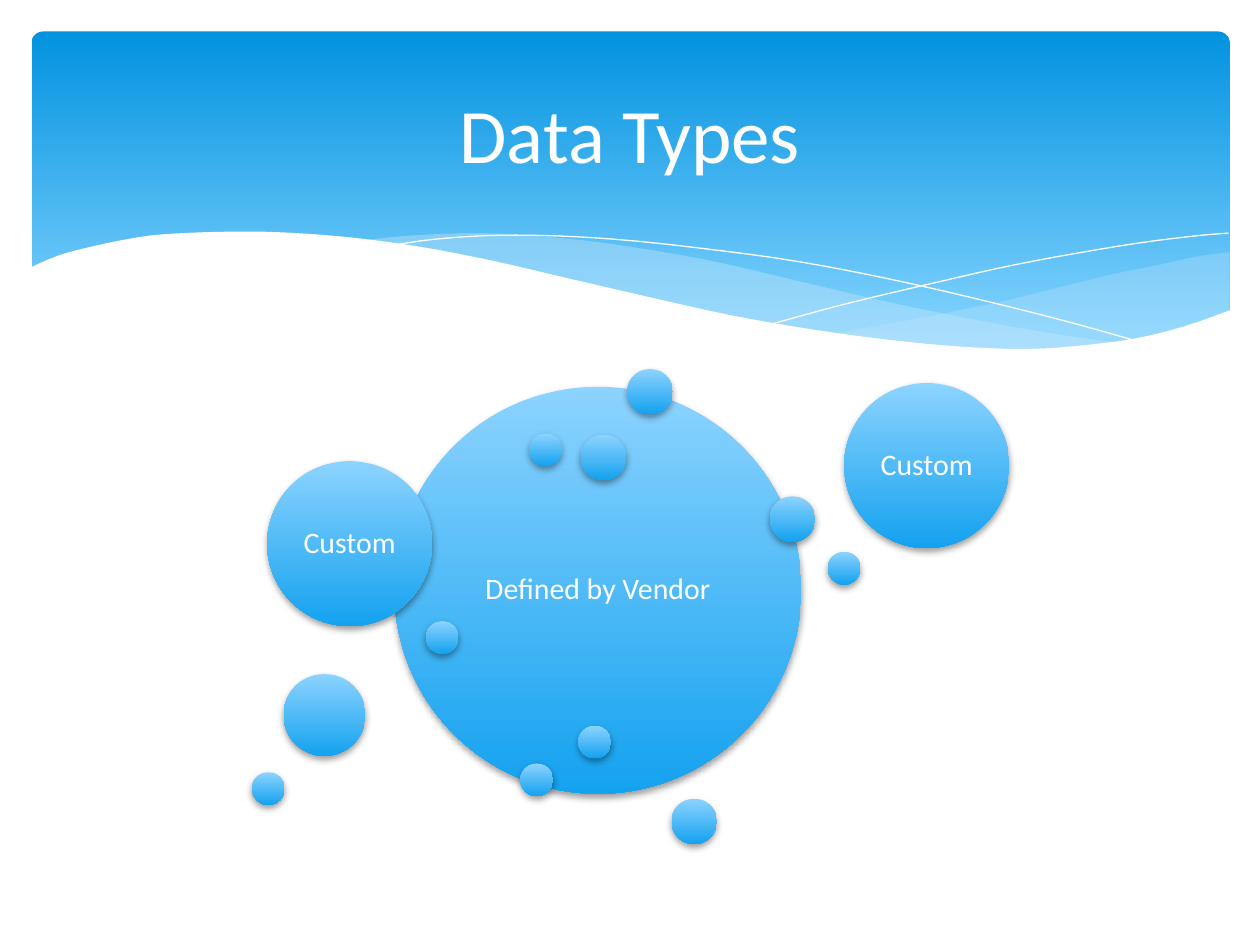
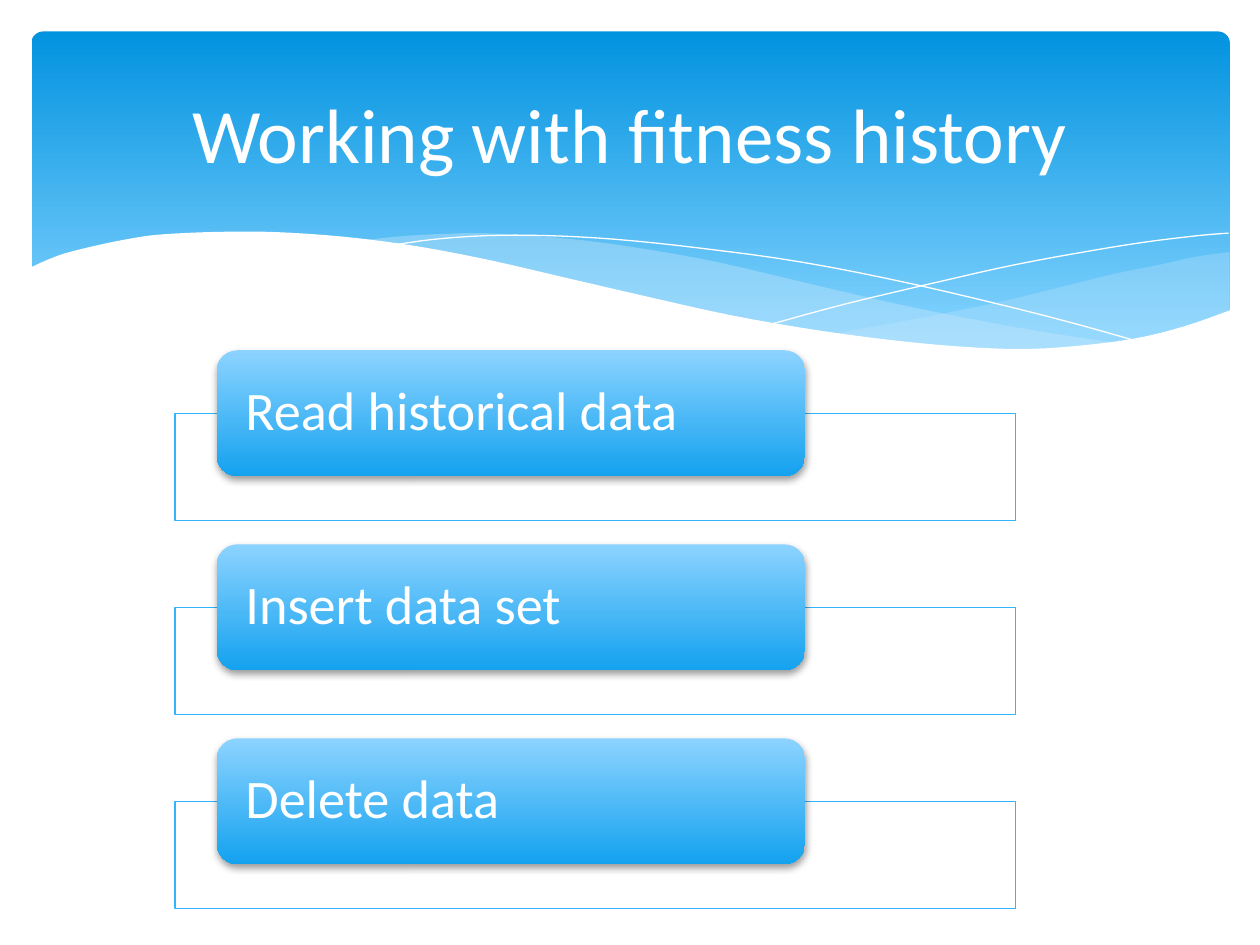
import pptx
import pptx.util
import pptx.dml.color
import pptx.enum.shapes
import pptx.enum.text
import pptx.oxml
import pptx.oxml.ns

SCALE = 9144
FONT = "Calibri"
RGB = pptx.dml.color.RGBColor
SHAPE = pptx.enum.shapes.MSO_SHAPE
ALIGN = pptx.enum.text.PP_ALIGN

WHITE = RGB(0xFF, 0xFF, 0xFF)
BAND_TOP = RGB(0x02, 0x93, 0xE0)
BAND_BOTTOM = RGB(0x83, 0xD3, 0xFE)
GLOSS_TOP = RGB(0x8C, 0xD3, 0xFF)
GLOSS_BOTTOM = RGB(0x14, 0xA2, 0xEF)
PALE_WAVE = RGB(0xC6, 0xE7, 0xFC)
FRAME_LINE = RGB(0x31, 0xB6, 0xFD)

RIGHT_WAVE_TOP = [(976, 200), (948, 204), (921, 210), (891, 216), (861, 223),
                  (805, 237), (753, 248), (706, 257), (661, 265)]
RIGHT_WAVE_BOTTOM = [(661, 265), (691, 269), (719, 272), (757, 276), (803, 278),
                     (844, 277), (881, 273), (913, 267), (942, 259), (976, 247)]
MIDDLE_WAVE_TOP = [(893, 273), (837, 265), (775, 254), (706, 240), (629, 222),
                   (569, 208), (514, 198), (465, 191), (420, 187), (380, 185),
                   (344, 186), (313, 188), (286, 191)]
MIDDLE_WAVE_BOTTOM = [(286, 191), (342, 199), (404, 211), (449, 222), (530, 240),
                      (601, 255), (665, 266), (722, 274), (773, 277), (818, 278),
                      (857, 277), (893, 273)]
FALLING_LINE = [(309, 195), (344, 190), (387, 187), (433, 187), (489, 190),
                (556, 197), (636, 208), (727, 226), (831, 251), (907, 272)]
RISING_LINE = [(613, 257), (672, 241), (748, 223), (806, 210), (866, 199),
               (910, 192), (951, 187), (975, 185)]
PAGE_EDGE = [(977, 246), (940, 259), (899, 269), (850, 275), (809, 277), (761, 275),
             (708, 270), (648, 262), (579, 250), (503, 233), (447, 220), (391, 207),
             (340, 197), (292, 190), (250, 186), (211, 184), (177, 184), (146, 185),
             (119, 187), (95, 191), (76, 195), (52, 201), (36, 207), (23, 213)]

BUBBLES = [
    (313, 307, 323, "Defined by Vendor"),
    (498, 293, 36, ""),
    (413, 606, 26, ""),
    (657, 438, 26, ""),
    (533, 634, 36, ""),
    (420, 344, 26, ""),
    (338, 493, 26, ""),
    (212, 366, 131, "Custom"),
    (461, 345, 36, ""),
    (225, 535, 65, ""),
    (670, 304, 131, "Custom"),
    (611, 394, 36, ""),
    (200, 613, 26, ""),
    (459, 576, 26, ""),
]
HISTORY_STEPS = ["Read historical data", "Insert data set", "Delete data"]
STEP_TOP = 278
STEP_PITCH = 154


def px(*lengths):
    return [pptx.util.Emu(round(length * SCALE)) for length in lengths]


def smooth(knots, steps=4):
    padded = [knots[0], *knots, knots[-1]]
    points = [knots[0]]
    for a, b, c, d in zip(padded, padded[1:], padded[2:], padded[3:]):
        for step in range(1, steps + 1):
            t = step / steps
            points.append(tuple(
                (2 * q + (r - p) * t + (2 * p - 5 * q + 4 * r - s) * t ** 2
                 + (3 * q - p - 3 * r + s) * t ** 3) / 2
                for p, q, r, s in zip(a, b, c, d)))
    return points


def fill_solid(shape, color, opacity=100):
    shape.fill.solid()
    shape.fill.fore_color.rgb = color
    if opacity < 100:
        swatch = next(shape.element.spPr.iter(pptx.oxml.ns.qn("a:srgbClr")))
        swatch.append(pptx.oxml.parse_xml(
            f'<a:alpha {pptx.oxml.ns.nsdecls("a")} val="{opacity * 1000}"/>'))


def fill_gradient(shape, top_color, bottom_color, end=1.0):
    shape.fill.gradient()
    shape.fill.gradient_angle = 270
    for stop, color, position in zip(shape.fill.gradient_stops,
                                     (top_color, bottom_color), (0, end)):
        stop.color.rgb = color
        stop.position = position


def add_shadow(shape):
    effects = shape.element.spPr.find(pptx.oxml.ns.qn("a:effectLst"))
    effects.append(pptx.oxml.parse_xml(
        f'<a:outerShdw {pptx.oxml.ns.nsdecls("a")} blurRad="{pptx.util.Pt(4)}" '
        f'dist="{pptx.util.Pt(2)}" dir="5400000" rotWithShape="0">'
        '<a:srgbClr val="000000"><a:alpha val="38000"/></a:srgbClr></a:outerShdw>'))


def add_preset(page, kind, left, top, width, height):
    shape = page.shapes.add_shape(kind, *px(left, top, width, height))
    shape.line.fill.background()
    shape.shadow.inherit = False
    return shape


def add_glossy(page, kind, left, top, width, height):
    shape = add_preset(page, kind, left, top, width, height)
    fill_gradient(shape, GLOSS_TOP, GLOSS_BOTTOM)
    add_shadow(shape)
    return shape


def add_outline(page, points, closed):
    start, *rest = [px(*point) for point in points]
    builder = page.shapes.build_freeform(*start, scale=1.0)
    builder.add_line_segments(rest, close=closed)
    shape = builder.convert_to_shape()
    shape.shadow.inherit = False
    return shape


def add_wave(page, points, color, opacity=100):
    wave = add_outline(page, points, True)
    wave.line.fill.background()
    fill_solid(wave, color, opacity)


def add_curve(page, knots):
    curve = add_outline(page, smooth(knots), False)
    curve.fill.background()
    curve.line.color.rgb = WHITE
    curve.line.width = pptx.util.Pt(0)


def write(shape, text, size, align, inset=None, spacing=None):
    frame = shape.text_frame
    frame.word_wrap = True
    frame.vertical_anchor = pptx.enum.text.MSO_ANCHOR.MIDDLE
    if inset:
        side, edge = px(*inset)
        frame.margin_left = frame.margin_right = side
        frame.margin_top = frame.margin_bottom = edge
    para = frame.paragraphs[0]
    para.alignment = align
    para.line_spacing = spacing
    span = para.add_run()
    span.text = text
    span.font.name = FONT
    span.font.size = pptx.util.Pt(size)
    span.font.color.rgb = WHITE


def add_band(page):
    band = add_preset(page, SHAPE.ROUNDED_RECTANGLE, 25, 25, 951, 270)
    band.adjustments[0] = 0.034
    fill_gradient(band, BAND_TOP, BAND_BOTTOM, 0.9)
    add_wave(page, smooth(RIGHT_WAVE_TOP) + smooth(RIGHT_WAVE_BOTTOM), PALE_WAVE, 29)
    add_wave(page, smooth(MIDDLE_WAVE_TOP) + smooth(MIDDLE_WAVE_BOTTOM), PALE_WAVE, 40)
    add_curve(page, FALLING_LINE)
    add_curve(page, RISING_LINE)
    add_wave(page, smooth(PAGE_EDGE) + [(23, 329), (977, 329)], WHITE)


def add_titled_page(deck, text):
    page = deck.slides.add_slide(deck.slide_layouts[5])
    add_band(page)
    title = page.shapes.title
    title.left, title.top, title.width, title.height = px(50, 37, 900, 137)
    write(title, text, 44, ALIGN.CENTER)
    page.shapes.element.append(title.element)
    return page


def add_bubble(page, left, top, size, label):
    bubble = add_glossy(page, SHAPE.OVAL, left, top, size, size)
    if label:
        write(bubble, label, 17, ALIGN.CENTER, (7, 7), 0.9)


def add_step(page, top, label):
    frame = add_preset(page, SHAPE.RECTANGLE, 139, top + 50, 667, 85)
    fill_solid(frame, WHITE, 90)
    frame.line.color.rgb = FRAME_LINE
    frame.line.width = pptx.util.Pt(0.75)
    box = add_glossy(page, SHAPE.ROUNDED_RECTANGLE, 172, top, 467, 100)
    write(box, label, 31, ALIGN.LEFT, (18, 0), 0.9)


def main():
    deck = pptx.Presentation()
    deck.slide_width, deck.slide_height = px(1000, 750)

    types_page = add_titled_page(deck, "Data Types")
    for bubble in BUBBLES:
        add_bubble(types_page, *bubble)

    history_page = add_titled_page(deck, "Working with fitness history")
    for index, label in enumerate(HISTORY_STEPS):
        add_step(history_page, STEP_TOP + index * STEP_PITCH, label)

    deck.save("out.pptx")


if __name__ == "__main__":
    main()
